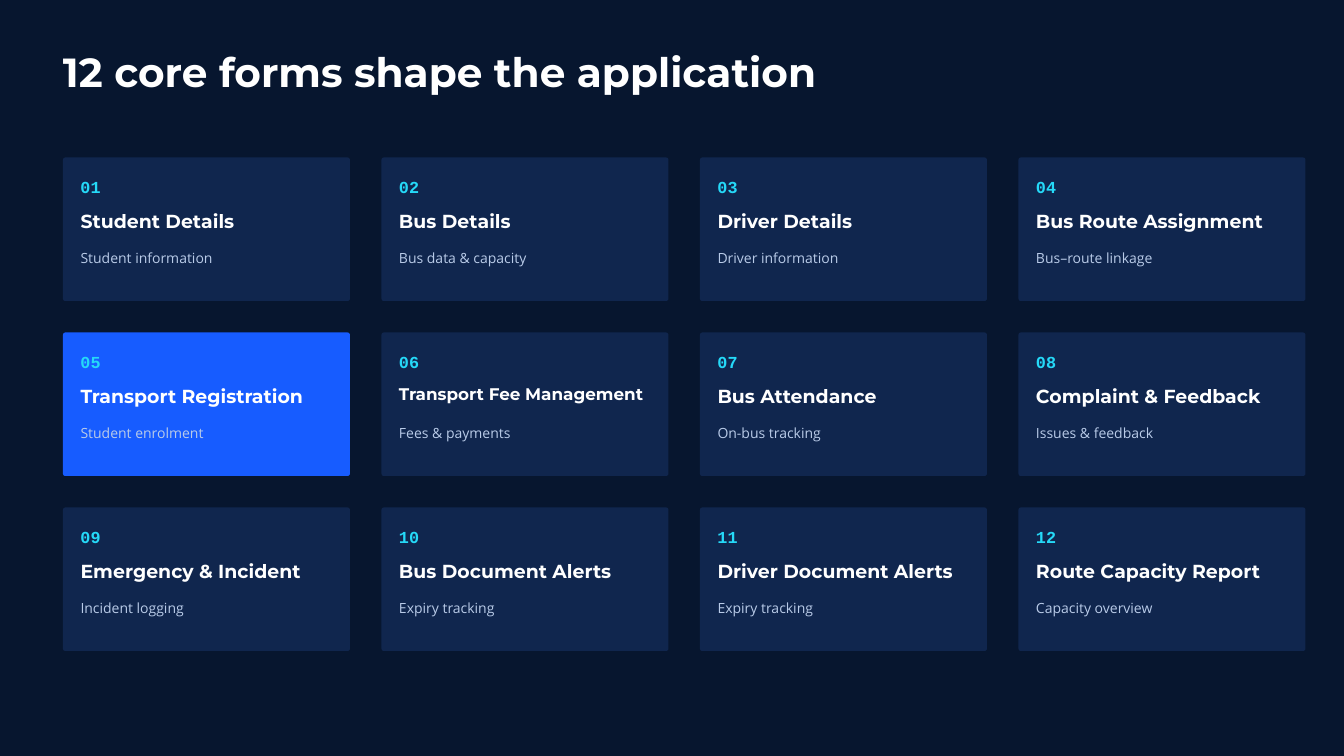
from pptx import Presentation
from pptx.dml.color import RGBColor
from pptx.enum import shapes, text
from pptx.util import Pt

TITLE = "12 core forms shape the application"
FORMS = [
    ("Student Details", "Student information"),
    ("Bus Details", "Bus data & capacity"),
    ("Driver Details", "Driver information"),
    ("Bus Route Assignment", "Bus–route linkage"),
    ("Transport Registration", "Student enrolment"),
    ("Transport Fee Management", "Fees & payments"),
    ("Bus Attendance", "On-bus tracking"),
    ("Complaint & Feedback", "Issues & feedback"),
    ("Emergency & Incident", "Incident logging"),
    ("Bus Document Alerts", "Expiry tracking"),
    ("Driver Document Alerts", "Expiry tracking"),
    ("Route Capacity Report", "Capacity overview"),
]
HIGHLIGHTED = "Transport Registration"
COLORS = {
    "background": "07162F",
    "card": "10264E",
    "highlight": "175CFF",
    "heading": "FFFFFF",
    "number": "25D9F8",
    "note": "B9CBE8",
}
FORMATS = {
    "title": {"name": "Montserrat", "size": Pt(43.5), "bold": True},
    "number": {"name": "Courier New", "size": Pt(18), "bold": True},
    "heading": {"name": "Montserrat", "size": Pt(20.25), "bold": True},
    "long heading": {"name": "Montserrat", "size": Pt(18), "bold": True},
    "note": {"name": "Open Sans", "size": Pt(15), "bold": False},
}
FRAME = {
    "margin_left": 0, "margin_right": 0, "margin_top": 0, "margin_bottom": 0,
    "word_wrap": True,
    "vertical_anchor": text.MSO_ANCHOR.TOP,
    "auto_size": text.MSO_AUTO_SIZE.SHAPE_TO_FIT_TEXT,
}
COLUMNS = 4
LEFT, TOP = 67.5, 168.75
CARD_WIDTH, CARD_HEIGHT = 307.5, 153.75
GAP = 33.75
PADDING = 18.75
RADIUS = 2.5
LONG_HEADING = 22


def color(name):
    return RGBColor.from_string(COLORS[name])


def set_values(target, values):
    for name, value in values.items():
        setattr(target, name, value)


def write(box, words, style, color_name, line_height):
    frame = box.text_frame
    set_values(frame, FRAME)
    para = frame.paragraphs[0]
    set_values(para, {"alignment": text.PP_ALIGN.LEFT, "line_spacing": Pt(line_height),
                      "space_before": Pt(0)})
    span = para.add_run()
    span.text = words
    set_values(span.font, FORMATS[style])
    span.font.color.rgb = color(color_name)


def add_card(page, index, heading, note):
    row, column = divmod(index, COLUMNS)
    left = LEFT + column * (CARD_WIDTH + GAP)
    top = TOP + row * (CARD_HEIGHT + GAP)
    group = page.shapes.add_group_shape()
    card = group.shapes.add_shape(shapes.MSO_SHAPE.ROUNDED_RECTANGLE, Pt(left), Pt(top),
                                  Pt(CARD_WIDTH), Pt(CARD_HEIGHT))
    card.adjustments[0] = RADIUS / CARD_HEIGHT
    card.shadow.inherit = False
    card.fill.solid()
    card.fill.fore_color.rgb = color("highlight" if heading == HIGHLIGHTED else "card")
    card.line.fill.background()

    heading_style = "long heading" if len(heading) > LONG_HEADING else "heading"
    lines = [
        (f"{index + 1:02}", "number", "number", 16.5, 52.5),
        (heading, heading_style, "heading", 51.75, 270),
        (note, "note", "note", 95.5, 270),
    ]
    for words, style, color_name, offset, width in lines:
        line_height = FORMATS[style]["size"].pt * 1.4
        box = group.shapes.add_textbox(Pt(left + PADDING), Pt(top + offset),
                                       Pt(width), Pt(line_height))
        write(box, words, style, color_name, line_height)


def main():
    deck = Presentation()
    set_values(deck, {"slide_width": Pt(1440), "slide_height": Pt(810)})
    page = deck.slides.add_slide(deck.slide_layouts[5])
    page.background.fill.solid()
    page.background.fill.fore_color.rgb = color("background")

    title = page.shapes.title
    set_values(title, {"left": Pt(LEFT), "top": Pt(55.5), "width": Pt(1305), "height": Pt(47)})
    write(title, TITLE, "title", "heading", 47)

    for index, (heading, note) in enumerate(FORMS):
        add_card(page, index, heading, note)
    deck.save("out.pptx")


if __name__ == "__main__":
    main()
